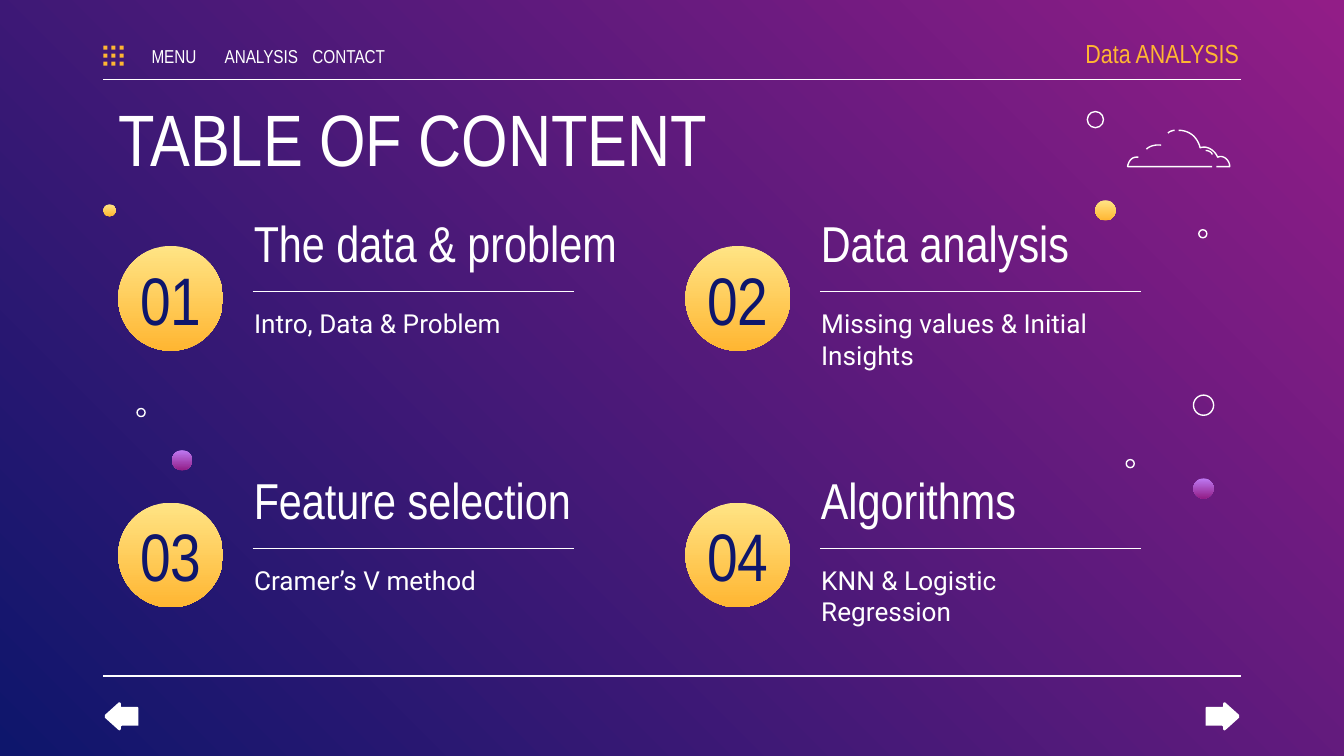
from dataclasses import dataclass
from typing import NamedTuple

from lxml.etree import SubElement
from pptx import Presentation
from pptx.dml.color import RGBColor
from pptx.enum.shapes import MSO_CONNECTOR, MSO_SHAPE
from pptx.enum.text import MSO_ANCHOR, MSO_AUTO_SIZE, PP_ALIGN
from pptx.oxml.ns import qn
from pptx.util import Inches, Pt


class TextStyle(NamedTuple):
    font: str
    size: float
    color: str


@dataclass(frozen=True)
class Theme:
    white: str = "FFFFFF"
    amber: str = "FFB632"
    gold: tuple[str, str] = ("FFE485", "FFB632")
    violet: tuple[str, str] = ("BE7AF3", "921D87")
    backdrop: tuple[str, str] = ("921D87", "0E166C")
    line_width: float = 0.75
    title: TextStyle = TextStyle("Arial Narrow", 39, "FFFFFF")
    heading: TextStyle = TextStyle("Arial Narrow", 27, "FFFFFF")
    number: TextStyle = TextStyle("Arial Narrow", 36, "0E166C")
    body: TextStyle = TextStyle("Roboto", 14, "FFFFFF")
    brand: TextStyle = TextStyle("Arial Narrow", 14, "FFB632")
    menu: TextStyle = TextStyle("Arial Narrow", 10, "FFFFFF")


class Box(NamedTuple):
    left: float
    top: float
    width: float
    height: float


class Section(NamedTuple):
    heading: str
    description: str


class Bubble(NamedTuple):
    left: float
    top: float
    size: float
    fill: tuple[str, str] | None = None


THEME = Theme()
SECTIONS = [
    Section("The data & problem", "Intro, Data & Problem"),
    Section("Data analysis", "Missing values & Initial Insights"),
    Section("Feature selection", "Cramer’s V method"),
    Section("Algorithms", "KNN & Logistic Regression"),
]
BUBBLES = [
    Bubble(8.15, 1.49, 0.15, THEME.gold),
    Bubble(0.77, 1.52, 0.09, THEME.gold),
    Bubble(8.88, 3.56, 0.15, THEME.violet),
    Bubble(1.28, 3.35, 0.15, THEME.violet),
    Bubble(8.09, 0.83, 0.12),
    Bubble(8.88, 2.94, 0.15),
    Bubble(8.92, 1.71, 0.06),
    Bubble(8.38, 3.42, 0.06),
    Bubble(1.02, 3.04, 0.06),
]
# Each path is a start point followed by steps: one point is a line, three are a Bezier curve.
CLOUD = [
    [(8.77, 0.97), [(8.85, 0.97), (8.91, 1.02), (8.93, 1.1)],
     [(8.98, 1.08), (9.04, 1.12), (9.06, 1.17)],
     [(9.1, 1.15), (9.15, 1.19), (9.15, 1.24)], [(9.05, 1.24)]],
    [(8.74, 0.97), [(8.74, 0.97), (8.71, 0.97), (8.69, 0.99)]],
    [(9.02, 1.24), [(8.39, 1.24)], [(8.39, 1.24), (8.4, 1.16), (8.47, 1.17)]],
    [(8.97, 1.12), [(8.97, 1.12), (9.01, 1.12), (9.02, 1.15)]],
    [(8.64, 1.08), [(8.64, 1.08), (8.57, 1.07), (8.53, 1.11)]],
]
LEFT_ARROW = [
    (0.88, 5.43), [(0.78, 5.34)], [(0.78, 5.34), (0.78, 5.33), (0.78, 5.32)],
    [(0.88, 5.23)], [(0.89, 5.22), (0.9, 5.23), (0.9, 5.24)],
    [(0.9, 5.25)], [(0.9, 5.26), (0.9, 5.26), (0.91, 5.26)],
    [(1.02, 5.26)], [(1.03, 5.26), (1.03, 5.27), (1.03, 5.27)],
    [(1.03, 5.39)], [(1.03, 5.4), (1.03, 5.4), (1.02, 5.4)],
    [(0.91, 5.4)], [(0.9, 5.4), (0.9, 5.41), (0.9, 5.41)],
    [(0.9, 5.42)], [(0.9, 5.43), (0.89, 5.44), (0.88, 5.43)],
]


def place(shape, box: Box) -> None:
    for name, value in box._asdict().items():
        setattr(shape, name, Inches(value))


def write(shape, text: str, style: TextStyle, align=PP_ALIGN.LEFT,
          anchor=MSO_ANCHOR.TOP, left: float = 0.1, right: float = 0.1) -> None:
    frame = shape.text_frame
    layout = {
        "word_wrap": True, "auto_size": MSO_AUTO_SIZE.NONE, "vertical_anchor": anchor,
        "margin_left": Inches(left), "margin_right": Inches(right),
        "margin_top": Inches(0.1), "margin_bottom": Inches(0.1),
    }
    for name, value in layout.items():
        setattr(frame, name, value)
    para = frame.paragraphs[0]
    para.alignment, para.space_before = align, Pt(0)
    span = para.add_run()
    span.text = text
    for name, value in {"name": style.font, "size": Pt(style.size), "bold": False}.items():
        setattr(span.font, name, value)
    span.font.color.rgb = RGBColor.from_string(style.color)


def add_text(page, box: Box, text: str, style: TextStyle, **options) -> None:
    write(page.shapes.add_textbox(*map(Inches, box)), text, style, **options)


def remove_bullet(para) -> None:
    properties = para._p.get_or_add_pPr()
    properties.set("marL", "0")
    properties.set("indent", "0")
    SubElement(properties, qn("a:buNone"))


def set_gradient(fill, colors: tuple[str, str], angle: float) -> None:
    fill.gradient()
    fill.gradient_angle = angle
    for stop, color in zip(fill.gradient_stops, colors):
        stop.color.rgb = RGBColor.from_string(color)


def set_outline(line) -> None:
    line.color.rgb = RGBColor.from_string(THEME.white)
    line.width = Pt(THEME.line_width)


def add_rule(page, left: float, right: float, y: float) -> None:
    rule = page.shapes.add_connector(MSO_CONNECTOR.STRAIGHT, *map(Inches, (left, y, right, y)))
    set_outline(rule.line)
    SubElement(rule._element.spPr, qn("a:effectLst"))


def add_bubble(page, bubble: Bubble) -> None:
    box = Box(bubble.left, bubble.top, bubble.size, bubble.size)
    shape = page.shapes.add_shape(MSO_SHAPE.OVAL, *map(Inches, box))
    shape.shadow.inherit = False
    if bubble.fill:
        set_gradient(shape.fill, bubble.fill, 270)
        shape.line.fill.background()
    else:
        shape.fill.background()
        set_outline(shape.line)


def add_path(shapes, path: list, closed: bool = False, steps: int = 12):
    """Draw lines and sampled Bezier curves as one outline."""
    current, points = path[0], []
    for step in path[1:]:
        if len(step) == 1:
            points += step
        else:
            corners = (current, *step)
            for t in (i / steps for i in range(1, steps + 1)):
                weights = ((1 - t) ** 3, 3 * t * (1 - t) ** 2, 3 * t * t * (1 - t), t ** 3)
                points.append(tuple(sum(w * c[axis] for w, c in zip(weights, corners))
                                    for axis in (0, 1)))
        current = step[-1]
    builder = shapes.build_freeform(*map(Inches, path[0]))
    builder.add_line_segments([tuple(map(Inches, point)) for point in points], close=closed)
    shape = builder.convert_to_shape()
    shape.shadow.inherit = False
    return shape


def add_arrow(page, path: list) -> None:
    arrow = add_path(page.shapes, path, closed=True)
    arrow.fill.solid()
    arrow.fill.fore_color.rgb = RGBColor.from_string(THEME.white)
    arrow.line.fill.background()


def add_menu_icon(page) -> None:
    icon = page.shapes.add_group_shape()
    for index in range(9):
        column, row = divmod(index, 3)
        box = Box(0.77 + 0.06 * column, 0.34 + 0.06 * row, 0.03, 0.03)
        dot = icon.shapes.add_shape(MSO_SHAPE.RECTANGLE, *map(Inches, box))
        dot.shadow.inherit = False
        dot.fill.solid()
        dot.fill.fore_color.rgb = RGBColor.from_string(THEME.amber)
        dot.line.fill.background()


def add_section(page, index: int, section: Section) -> None:
    row, column = divmod(index, 2)
    left, top = 0.88 + 4.22 * column, 1.83 + 1.91 * row
    add_bubble(page, Bubble(left, top, 0.78, THEME.gold))
    add_text(page, Box(left, top + 0.2, 0.78, 0.38), f"{index + 1:02}", THEME.number,
             align=PP_ALIGN.CENTER, anchor=MSO_ANCHOR.MIDDLE)
    add_text(page, Box(left + 0.91, top - 0.35, 3.06, 0.48), section.heading, THEME.heading)
    add_rule(page, left + 1, left + 3.39, top + 0.34)
    description = page.placeholders[index + 1]
    place(description, Box(left + 0.91, top + 0.36, 2.44, 0.62))
    write(description, section.description, THEME.body)
    remove_bullet(description.text_frame.paragraphs[0])


def main() -> None:
    deck = Presentation()
    deck.slide_width, deck.slide_height = Inches(10), Inches(10 * 9 / 16)
    page = deck.slides.add_slide(deck.slide_layouts.get_by_name("Comparison"))
    set_gradient(page.background.fill, THEME.backdrop, 225)
    for y in (0.59, 5.03):
        add_rule(page, 0.77, 9.23, y)
    place(page.shapes.title, Box(0.78, 0.6, 8.44, 0.66))
    write(page.shapes.title, "TABLE OF CONTENT", THEME.title)
    for index, section in enumerate(SECTIONS):
        add_section(page, index, section)
    add_text(page, Box(7.72, 0.23, 1.5, 0.33), "Data ANALYSIS", THEME.brand,
             align=PP_ALIGN.RIGHT, anchor=MSO_ANCHOR.MIDDLE, right=0)
    for index, label in enumerate(("MENU", "ANALYSIS", "CONTACT")):
        add_text(page, Box(1.01 + 0.65 * index, 0.3, 0.57, 0.23), label, THEME.menu,
                 align=PP_ALIGN.CENTER, anchor=MSO_ANCHOR.MIDDLE, left=0, right=0)
    add_menu_icon(page)
    add_arrow(page, LEFT_ARROW)
    start, *steps = LEFT_ARROW
    add_arrow(page, [(10 - start[0], start[1]), *[[(10 - x, y) for x, y in step] for step in steps]])
    cloud = page.shapes.add_group_shape()
    for path in CLOUD:
        stroke = add_path(cloud.shapes, path)
        stroke.fill.background()
        set_outline(stroke.line)
    for bubble in BUBBLES:
        add_bubble(page, bubble)
    deck.save("out.pptx")


if __name__ == "__main__":
    main()
